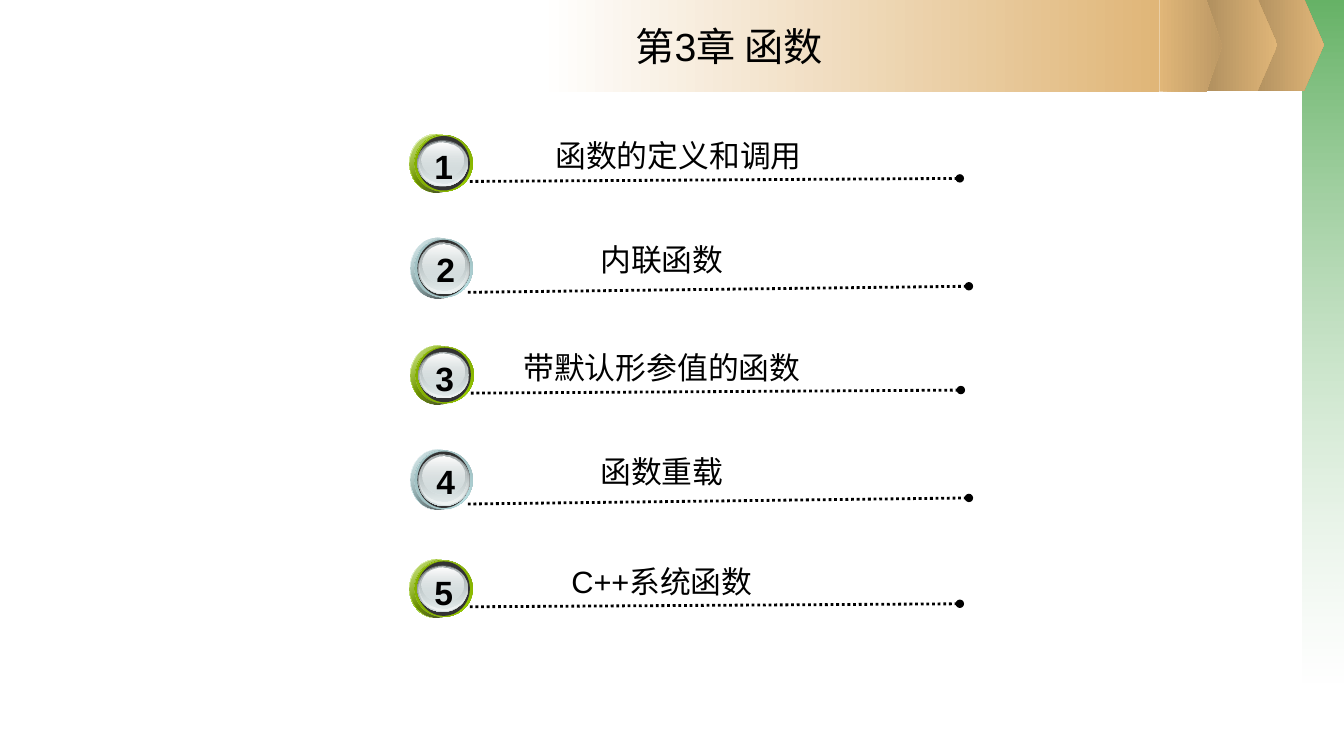
from dataclasses import dataclass

from pptx import Presentation
from pptx.dml.color import RGBColor
from pptx.enum.dml import MSO_LINE
from pptx.enum.shapes import MSO_CONNECTOR, MSO_SHAPE
from pptx.enum.text import MSO_ANCHOR, MSO_AUTO_SIZE, PP_ALIGN
from pptx.oxml import parse_xml
from pptx.oxml.ns import nsdecls, qn
from pptx.oxml.xmlchemy import OxmlElement
from pptx.util import Inches, Pt

BLACK = RGBColor(0x00, 0x00, 0x00)
WHITE = RGBColor(0xFF, 0xFF, 0xFF)
CHARCOAL = RGBColor(0x33, 0x33, 0x33)
BACKDROP_GREEN = RGBColor(0x33, 0x99, 0x33)
SAND = RGBColor(0xE0, 0xB6, 0x78)
SAND_SHADE = RGBColor(0xBD, 0x99, 0x65)
SAND_DARK = RGBColor(0xAB, 0x8B, 0x5C)
LIME = RGBColor(0x99, 0xCC, 0x00)
LIME_DARK = RGBColor(0x75, 0x9C, 0x00)
LIME_MID = RGBColor(0x7E, 0xA7, 0x00)
AQUA = RGBColor(0xBB, 0xE0, 0xE3)
AQUA_DARK = RGBColor(0x8F, 0xAC, 0xAE)
AQUA_MID = RGBColor(0x9A, 0xB8, 0xBA)
SILVER = RGBColor(0xD6, 0xE1, 0xE2)
SILVER_LIGHT = RGBColor(0xF1, 0xF5, 0xF5)
SILVER_DARK = RGBColor(0xAA, 0xB2, 0xB3)
STEEL = RGBColor(0x63, 0x68, 0x69)

Box = tuple[float, float, float, float]


@dataclass(frozen=True)
class Stop:
    position: int
    color: RGBColor
    opacity: int = 100


@dataclass(frozen=True)
class Gradient:
    angle: int
    stops: tuple[Stop, ...]


@dataclass(frozen=True)
class BannerPart:
    kind: MSO_SHAPE
    box: Box
    gradient: Gradient


@dataclass(frozen=True)
class BadgeStyle:
    """Colours and geometry of one badge, relative to its top left corner."""
    color: RGBColor
    dark: RGBColor
    mid: RGBColor
    shadow: Box
    ring: Box
    rim: Box
    faces: tuple[Box, Box, Box, Box]
    number: Box
    rule_start: tuple[float, float]
    rule_end: tuple[float, float]


@dataclass(frozen=True)
class Section:
    text: str
    left: float
    top: float
    style: BadgeStyle
    label_width: float = 4.83


def fade(angle: int, first: RGBColor, last: RGBColor,
         first_opacity: int = 100, last_opacity: int = 100) -> Gradient:
    return Gradient(angle, (Stop(0, first, first_opacity), Stop(100, last, last_opacity)))


def sheen(angle: int, edge: RGBColor, middle: RGBColor) -> Gradient:
    return Gradient(angle, (Stop(0, edge), Stop(50, middle), Stop(100, edge)))


BANNER = (
    BannerPart(MSO_SHAPE.RECTANGLE, (12.92, 0, 0.41, 6.77),
               fade(90, BACKDROP_GREEN, WHITE, 75, 37)),
    BannerPart(MSO_SHAPE.PENTAGON, (12.34, -0.01, 0.79, 0.91), fade(0, SAND_DARK, SAND)),
    BannerPart(MSO_SHAPE.PENTAGON, (11.88, -0.01, 0.79, 0.91), fade(0, SAND_DARK, SAND)),
    BannerPart(MSO_SHAPE.RECTANGLE, (5.36, 0, 6.14, 0.91), fade(0, WHITE, SAND)),
    BannerPart(MSO_SHAPE.PENTAGON, (11.5, 0, 0.62, 0.91), fade(0, SAND, SAND_SHADE)),
)
FACE_GRADIENTS = (
    fade(90, STEEL, SILVER),
    fade(90, SILVER, SILVER_LIGHT, 0),
    fade(90, SILVER_DARK, SILVER, 100, 48),
    fade(90, WHITE, SILVER, 100, 38),
)
LIME_BADGE = BadgeStyle(
    LIME, LIME_DARK, LIME_MID,
    (0, 0, 0.53, 0.58), (0.05, 0.01, 0.58, 0.56), (0.08, 0.02, 0.52, 0.54),
    ((0.08, 0.06, 0.5, 0.46), (0.09, 0.06, 0.49, 0.45),
     (0.1, 0.07, 0.47, 0.42), (0.12, 0.08, 0.42, 0.34)),
    (0.15, 0.07, 0.37, 0.5), (0.6, 0.47), (5.46, 0.44))
AQUA_BADGE = BadgeStyle(
    AQUA, AQUA_DARK, AQUA_MID,
    (0, 0, 0.54, 0.6), (0.04, 0.01, 0.58, 0.58), (0.07, 0.02, 0.52, 0.56),
    ((0.08, 0.05, 0.51, 0.51), (0.09, 0.05, 0.49, 0.5),
     (0.09, 0.05, 0.47, 0.47), (0.12, 0.07, 0.42, 0.38)),
    (0.16, 0.06, 0.37, 0.5), (0.57, 0.54), (5.54, 0.48))
SECTIONS = (
    Section("函数的定义和调用", 4.06, 1.33, LIME_BADGE, 5.16),
    Section("内联函数", 4.07, 2.36, AQUA_BADGE),
    Section("带默认形参值的函数", 4.07, 3.43, LIME_BADGE),
    Section("函数重载", 4.07, 4.46, AQUA_BADGE),
    Section("C++系统函数", 4.06, 5.55, LIME_BADGE),
)
LABEL_LEFT = 4.15


def add_filled(shapes, kind: MSO_SHAPE, box: Box, fill: Gradient | RGBColor):
    shape = shapes.add_shape(kind, *map(Inches, box))
    shape.shadow.inherit = False
    shape.line.fill.background()
    if isinstance(fill, RGBColor):
        shape.fill.solid()
        shape.fill.fore_color.rgb = fill
        return shape
    stops = "".join(
        f'<a:gs pos="{stop.position * 1000}"><a:srgbClr val="{stop.color}">'
        f'<a:alpha val="{stop.opacity * 1000}"/></a:srgbClr></a:gs>'
        for stop in fill.stops)
    gradient = parse_xml(
        f'<a:gradFill {nsdecls("a")} rotWithShape="1"><a:gsLst>{stops}</a:gsLst>'
        f'<a:lin ang="{fill.angle * 60000}" scaled="0"/></a:gradFill>')
    shape.fill.background()
    properties = shape.element.spPr
    properties.replace(properties.find(qn("a:noFill")), gradient)
    return shape


def add_text(shapes, box: Box, text: str, size: int, bold: bool = False,
             wrap: bool = True, grow: bool = True):
    text_box = shapes.add_textbox(*map(Inches, box))
    text_frame = text_box.text_frame
    text_frame.text = text
    text_frame.word_wrap = wrap
    text_frame.auto_size = MSO_AUTO_SIZE.SHAPE_TO_FIT_TEXT if grow else MSO_AUTO_SIZE.NONE
    paragraph = text_frame.paragraphs[0]
    paragraph.alignment = PP_ALIGN.CENTER
    font = paragraph.runs[0].font
    font.name, font.size, font.bold = "Arial", Pt(size), bold
    font.color.rgb = BLACK
    return text_box


def add_rule(shapes, section: Section) -> None:
    points = (section.style.rule_start, section.style.rule_end)
    ends = [Inches(value) for x, y in points for value in (section.left + x, section.top + y)]
    connector = shapes.add_connector(MSO_CONNECTOR.STRAIGHT, *ends)
    connector.line.color.rgb = BLACK
    connector.line.width = Pt(2)
    connector.line.dash_style = MSO_LINE.ROUND_DOT
    tail = OxmlElement("a:tailEnd")
    tail.set("type", "oval")
    properties = connector.element.spPr
    properties.find(qn("a:ln")).append(tail)
    properties.append(OxmlElement("a:effectLst"))


def add_badge(shapes, section: Section, number: int) -> None:
    style = section.style
    layers = (
        (style.shadow, sheen(45, WHITE, style.color)),
        (style.shadow, fade(45, style.color, BLACK, 32, 90)),
        (style.ring, sheen(315, style.dark, style.color)),
        (style.ring, fade(45, style.mid, style.color, 100, 0)),
        (style.rim, CHARCOAL),
        *zip(style.faces, FACE_GRADIENTS),
    )

    def place(box: Box) -> Box:
        x, y, width, height = box
        return section.left + x, section.top + y, width, height

    group = shapes.add_group_shape()
    for box, fill in layers:
        add_filled(group.shapes, MSO_SHAPE.OVAL, place(box), fill)
    add_text(group.shapes, place(style.number), str(number), 24, bold=True, wrap=False)


def main() -> None:
    presentation = Presentation()
    presentation.slide_width, presentation.slide_height = Inches(13.33), Inches(7.5)
    shapes = presentation.slides.add_slide(presentation.slide_layouts[6]).shapes

    # Banner and title
    for part in BANNER:
        shape = add_filled(shapes, part.kind, part.box, part.gradient)
        if part.kind == MSO_SHAPE.PENTAGON:
            shape.adjustments[0] = 0.25
    title = add_text(shapes, (1.7, 0.14, 11.06, 0.62), "第3章 函数", 28, grow=False)
    title.text_frame.vertical_anchor = MSO_ANCHOR.MIDDLE

    # Chapter sections
    for number, section in enumerate(SECTIONS, start=1):
        add_rule(shapes, section)
        add_badge(shapes, section, number)
        label_box = (LABEL_LEFT, section.top - 0.02, section.label_width, 0.47)
        add_text(shapes, label_box, section.text, 22)

    presentation.save("out.pptx")


if __name__ == "__main__":
    main()
